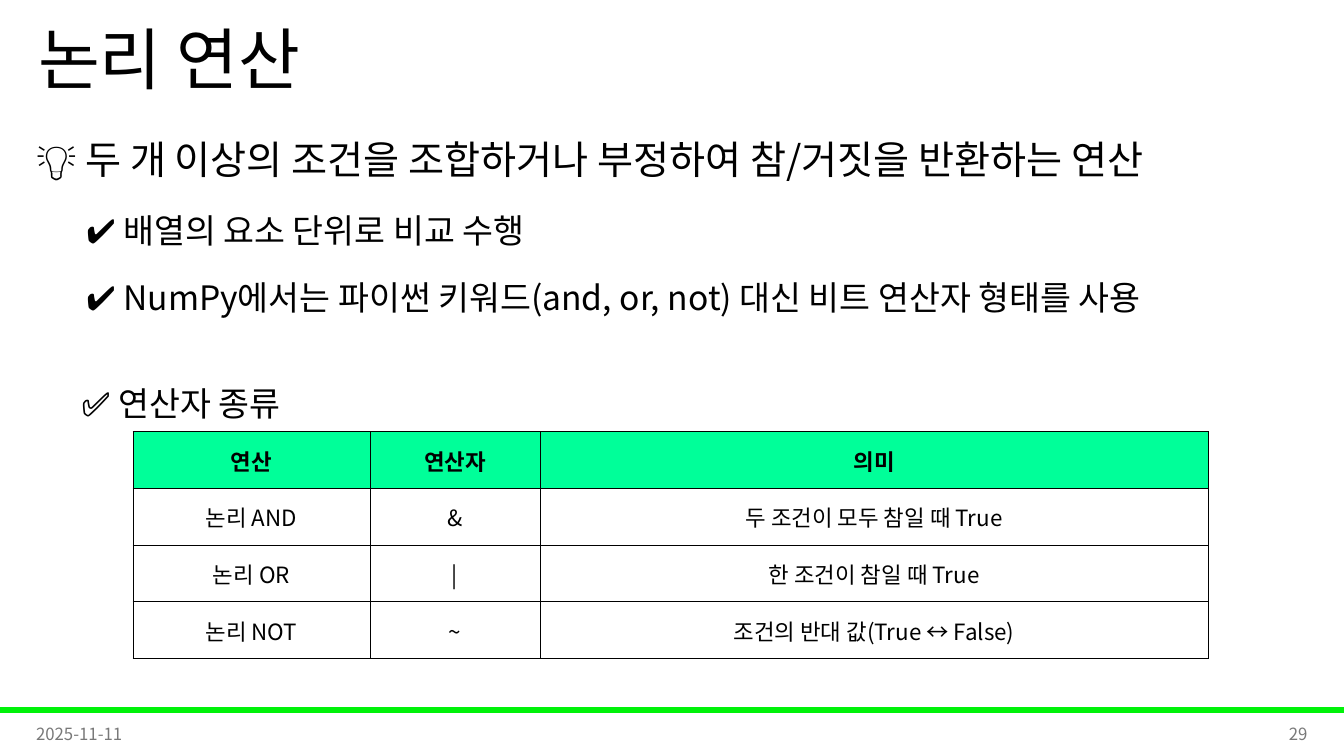
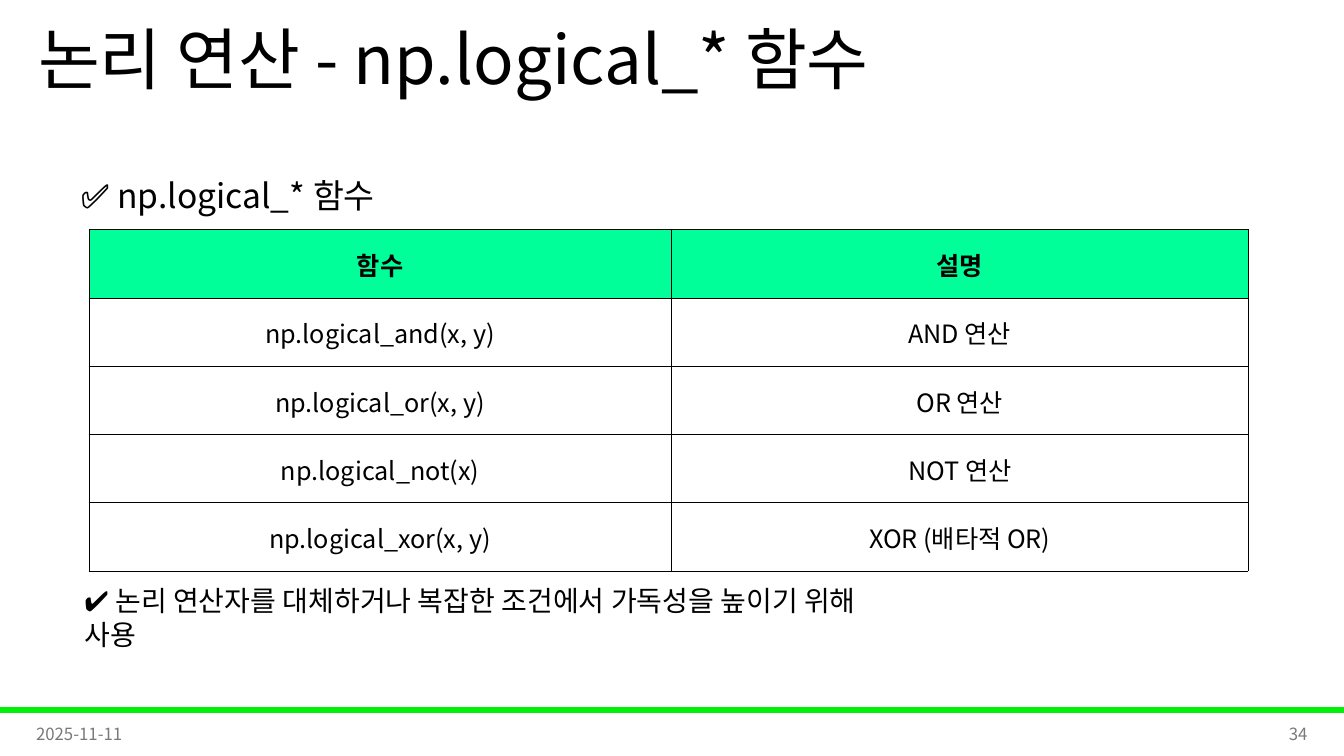
"""Build two slides on logical operations in NumPy."""
from dataclasses import dataclass

import lxml.etree
import pptx
import pptx.dml.color
import pptx.enum.shapes
import pptx.enum.text
import pptx.oxml.ns
import pptx.util

Cm = pptx.util.Cm
Pt = pptx.util.Pt
qn = pptx.oxml.ns.qn
rgb = pptx.dml.color.RGBColor.from_string
Align = pptx.enum.text.PP_ALIGN
Anchor = pptx.enum.text.MSO_ANCHOR


@dataclass(frozen=True)
class Theme:
    font: str = "Noto Sans CJK KR"
    ink: str = "000000"
    muted: str = "797979"
    paper: str = "FFFFFF"
    band: str = "00F209"
    header: str = "00FF99"
    title: int = 48
    lead: int = 28
    point: int = 24
    note: int = 20
    footer: int = 12


theme = Theme()


def style_para(para, size, color=theme.ink, bold=False, align=Align.LEFT, spacing=None):
    para.alignment = align
    para.line_spacing = spacing
    para.font.name = theme.font
    para.font.size = Pt(size)
    para.font.bold = bold
    para.font.color.rgb = rgb(color)
    latin = para._p.pPr.find(qn("a:defRPr")).find(qn("a:latin"))
    east_asian = lxml.etree.Element(qn("a:ea"), typeface=theme.font)
    latin.addnext(east_asian)


def add_text(page, frame, lines, anchor=Anchor.TOP, **style):
    box = page.shapes.add_textbox(*map(Cm, frame))
    text = box.text_frame
    text.word_wrap = True
    text.vertical_anchor = anchor
    for index, (line, size, level) in enumerate(lines):
        para = text.add_paragraph() if index else text.paragraphs[0]
        para.text = line
        para.level = level
        if level:
            para._p.get_or_add_pPr().set("marL", str(Cm(1.27)))
        if index:
            para.space_before = Pt(5)
        style_para(para, size, **style)


slides = [
    {
        "title": "논리 연산",
        "number": "29",
        "texts": [
            ((0.66, 2.69, 32.51, 7.59), 1.5, [
                ("💡 두 개 이상의 조건을 조합하거나 부정하여 참/거짓을 반환하는 연산", theme.lead, 0),
                ("✔️ 배열의 요소 단위로 비교 수행", theme.point, 1),
                ("✔️ NumPy에서는 파이썬 키워드(and, or, not) 대신 비트 연산자 형태를 사용", theme.point, 1),
            ]),
            ((1.8, 9.02, 14.88, 2.13), 1.5, [("✅ 연산자 종류", theme.point, 0)]),
        ],
        "table": {
            "corner": (3.35, 10.87),
            "widths": (5.97, 4.29, 16.84),
            "row_height": 1.43,
            "size": 16,
            "rows": [
                ("연산", "연산자", "의미"),
                ("논리 AND", "&", "두 조건이 모두 참일 때 True"),
                ("논리 OR", "|", "한 조건이 참일 때 True"),
                ("논리 NOT", "~", "조건의 반대 값(True ↔ False)"),
            ],
        },
    },
    {
        "title": "논리 연산 - np.logical_* 함수",
        "number": "34",
        "texts": [
            ((1.78, 3.78, 14.88, 2.13), 1.5, [("✅ np.logical_* 함수", theme.point, 0)]),
            ((1.88, 14.58, 21.08, 1.5), None, [
                ("✔️ 논리 연산자를 대체하거나 복잡한 조건에서 가독성을 높이기 위해 사용", theme.note, 0),
            ]),
        ],
        "table": {
            "corner": (2.24, 5.79),
            "widths": (14.68, 14.53),
            "row_height": 1.72,
            "size": 18,
            "rows": [
                ("함수", "설명"),
                ("np.logical_and(x, y)", "AND 연산"),
                ("np.logical_or(x, y)", "OR 연산"),
                ("np.logical_not(x)", "NOT 연산"),
                ("np.logical_xor(x, y)", "XOR (배타적 OR)"),
            ],
        },
    },
]

deck = pptx.Presentation()
deck.slide_width = Cm(33.87)
deck.slide_height = Cm(19.05)
title_only = deck.slide_layouts.get_by_name("Title Only")

for content in slides:
    page = deck.slides.add_slide(title_only)

    band = page.shapes.add_shape(
        pptx.enum.shapes.MSO_SHAPE.RECTANGLE, 0, Cm(17.83), deck.slide_width, Cm(0.13)
    )
    band.shadow.inherit = False
    band.fill.solid()
    band.fill.fore_color.rgb = rgb(theme.band)
    band.line.color.rgb = rgb(theme.band)
    band.line.width = Pt(1)

    title = page.shapes.title
    title.left, title.top, title.width, title.height = map(Cm, (0.71, 0, 29.21, 3.18))
    title.text_frame.text = content["title"]
    title.text_frame.auto_size = pptx.enum.text.MSO_AUTO_SIZE.NONE
    title.text_frame.vertical_anchor = Anchor.MIDDLE
    style_para(title.text_frame.paragraphs[0], theme.title, spacing=0.9)

    for left, line, align in (
        (0.66, "2025-11-11", Align.LEFT),
        (25.58, content["number"], Align.RIGHT),
    ):
        add_text(page, (left, 17.97, 7.62, 1.02), [(line, theme.footer, 0)],
                 anchor=Anchor.MIDDLE, color=theme.muted, align=align)

    for frame, spacing, lines in content["texts"]:
        add_text(page, frame, lines, spacing=spacing)

    grid = content["table"]
    rows, widths = grid["rows"], grid["widths"]
    size = (sum(widths), grid["row_height"] * len(rows))
    table = page.shapes.add_table(
        len(rows), len(widths), *map(Cm, grid["corner"] + size)
    ).table
    table.horz_banding = False
    for column, width in zip(table.columns, widths):
        column.width = Cm(width)
    for row_index, row in enumerate(rows):
        table.rows[row_index].height = Cm(grid["row_height"])
        is_header = row_index == 0
        for column_index, label in enumerate(row):
            cell = table.cell(row_index, column_index)
            cell.text = label
            cell.vertical_anchor = Anchor.MIDDLE
            cell.margin_left = cell.margin_right = cell.margin_top = Cm(0.03)
            cell.margin_bottom = 0
            style_para(cell.text_frame.paragraphs[0], grid["size"],
                       bold=is_header, align=Align.CENTER)
            properties = cell._tc.get_or_add_tcPr()
            for side in ("lnL", "lnR", "lnT", "lnB"):
                border = lxml.etree.SubElement(properties, qn(f"a:{side}"), w=str(Pt(0.5)))
                fill = lxml.etree.SubElement(border, qn("a:solidFill"))
                lxml.etree.SubElement(fill, qn("a:srgbClr"), val=theme.ink)
            cell.fill.solid()
            cell.fill.fore_color.rgb = rgb(theme.header if is_header else theme.paper)

deck.save("out.pptx")
